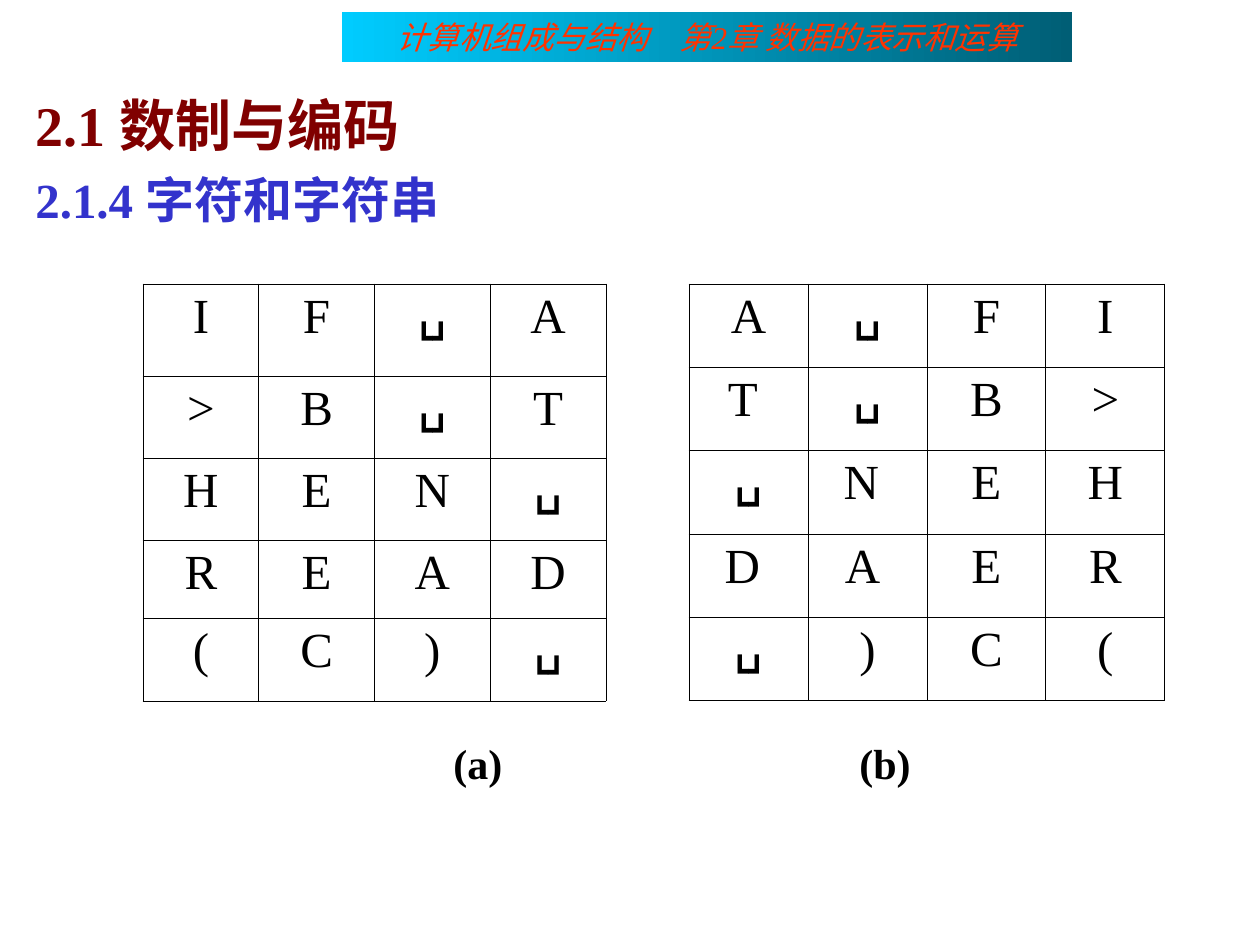
from lxml import etree
from pptx import Presentation
from pptx.dml.color import RGBColor
from pptx.enum import shapes, text
from pptx.oxml.ns import qn
from pptx.util import Pt

PX = 914400 // 126  # EMU in one px
FACE = "Times New Roman"
HUES = {"red": "FF3300", "maroon": "800000", "blue": "3333CC",
        "black": "000000", "cyan": "00CCFF", "teal": "005E75"}
GAP = "┗┛"  # mark for a blank character


def hue(name):
    return RGBColor.from_string(HUES[name])


def style(para, size, color, bold=False, italic=False):
    font = para.font
    font.name, font.size = FACE, Pt(size)
    font.bold, font.italic = bold, italic
    font.color.rgb = hue(color)


def add_box(slide, *rect):
    frame = slide.shapes.add_textbox(*(v * PX for v in rect)).text_frame
    frame.word_wrap = True
    return frame


def add_banner(slide, words, *rect):
    bar = slide.shapes.add_shape(shapes.MSO_SHAPE.RECTANGLE,
                                 *(v * PX for v in rect))
    bar.shadow.inherit = False
    bar.line.fill.background()
    bar.fill.gradient()
    bar.fill.gradient_angle = 180
    for stop, name in zip(bar.fill.gradient_stops, ("teal", "cyan")):
        stop.color.rgb = hue(name)
    frame = bar.text_frame
    frame.vertical_anchor = text.MSO_ANCHOR.MIDDLE
    para = frame.paragraphs[0]
    para.text = words
    para.alignment = text.PP_ALIGN.CENTER
    style(para, 18, "red", italic=True)


def add_heads(slide, heads, *rect):
    frame = add_box(slide, *rect)
    for i, (words, size, color) in enumerate(heads):
        para = frame.add_paragraph() if i else frame.paragraphs[0]
        para.text = words
        if i:
            para.space_before = Pt(7)
        style(para, size, color, bold=True)


def add_edges(cell):
    props = cell._tc.get_or_add_tcPr()
    for side in ("lnL", "lnR", "lnT", "lnB"):
        line = etree.SubElement(props, qn(f"a:{side}"), w=str(Pt(0.45)))
        fill = etree.SubElement(line, qn("a:solidFill"))
        etree.SubElement(fill, qn("a:srgbClr"), val=HUES["black"])


def add_grid(slide, rows, left, top, width, highs):
    grid = slide.shapes.add_table(len(rows), len(rows[0]), left * PX, top * PX,
                                  width * PX, sum(highs) * PX).table
    grid.first_row = grid.horz_banding = False
    for r, row in enumerate(rows):
        grid.rows[r].height = highs[r] * PX
        for c, mark in enumerate(row):
            cell = grid.cell(r, c)
            add_edges(cell)
            cell.fill.background()
            para = cell.text_frame.paragraphs[0]
            para.text = mark
            para.alignment = text.PP_ALIGN.CENTER
            style(para, 28, "black")
            if mark == GAP:  # lowered like a subscript
                para.runs[0].font._element.set("baseline", "-30000")


def add_labels(slide, words, stop, *rect):
    para = add_box(slide, *rect).paragraphs[0]
    para.text = words
    tabs = etree.SubElement(para._p.get_or_add_pPr(), qn("a:tabLst"))
    etree.SubElement(tabs, qn("a:tab"), pos=str(stop * PX), algn="l")
    style(para, 24, "black", bold=True)


def main():
    prs = Presentation()
    prs.slide_width, prs.slide_height = 1260 * PX, 945 * PX
    slide = prs.slides.add_slide(prs.slide_layouts[6])

    # Banner and headings
    add_banner(slide, "计算机组成与结构　第2章 数据的表示和运算", 342, 12, 730, 50)
    add_heads(slide, [("2.1 数制与编码", 32, "maroon"),
                      ("2.1.4 字符和字符串", 28, "blue")], 23, 84, 1212, 190)

    # Character grids (a) and (b)
    add_grid(slide, [["I", "F", GAP, "A"],
                     [">", "B", GAP, "T"],
                     ["H", "E", "N", GAP],
                     ["R", "E", "A", "D"],
                     ["(", "C", ")", GAP]],
             143, 284, 463, [92, 82, 82, 78, 83])
    add_grid(slide, [["A", GAP, "F", "I"],
                     ["T ", GAP, "B", ">"],
                     [GAP, "N ", "E", "H"],
                     ["D ", "A ", "E", "R"],
                     [GAP, ")", "C", "("]],
             689, 284, 476, [83, 83, 84, 83, 83])

    # Labels under the grids
    add_labels(slide, "(a)\t(b)", 406, 441, 731, 506, 113)
    prs.save("out.pptx")


if __name__ == "__main__":
    main()
